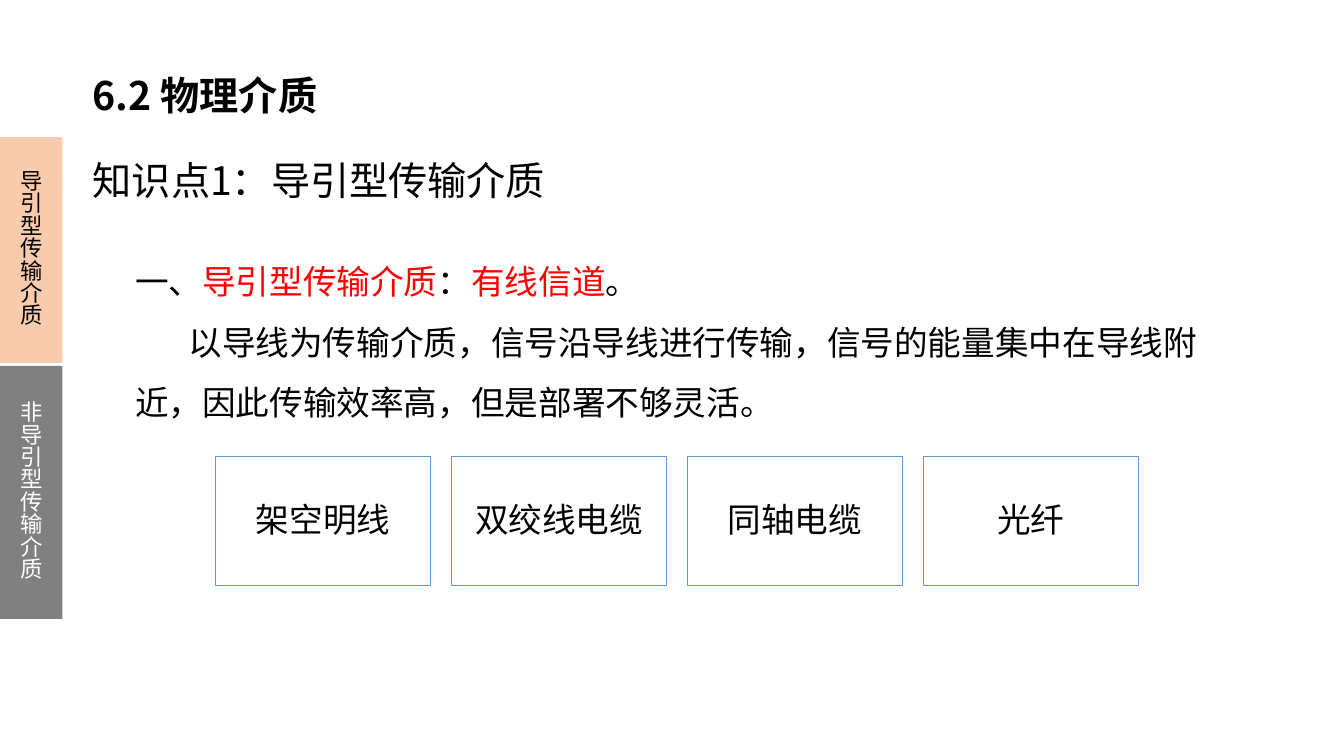
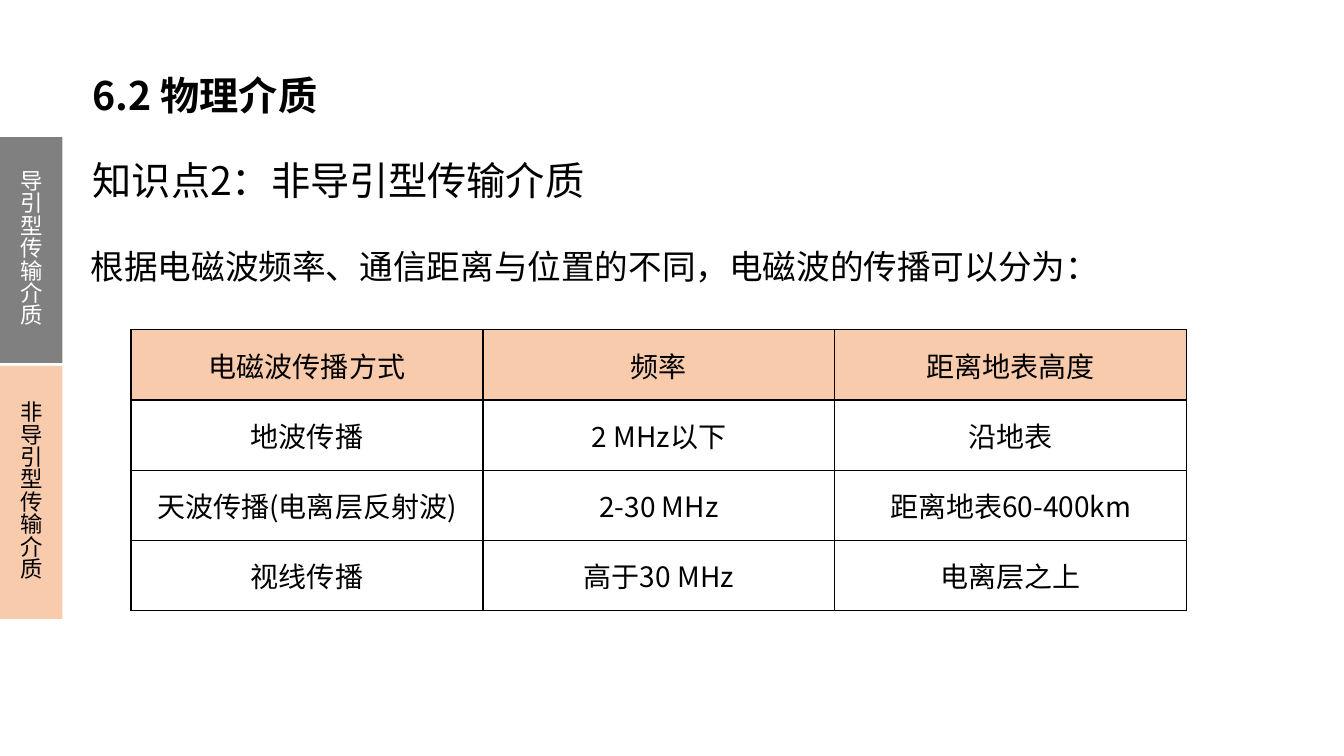
from lxml import etree
from pptx import Presentation
from pptx.dml.color import RGBColor
from pptx.enum.shapes import MSO_SHAPE
from pptx.enum.text import MSO_ANCHOR, MSO_AUTO_SIZE, PP_ALIGN
from pptx.oxml.ns import qn
from pptx.util import Inches, Pt

FONT = "Noto Sans CJK SC"
BLACK = RGBColor(0x00, 0x00, 0x00)
WHITE = RGBColor(0xFF, 0xFF, 0xFF)
RED = RGBColor(0xFF, 0x00, 0x00)
PEACH = RGBColor(0xF8, 0xCB, 0xAD)
GRAY = RGBColor(0x80, 0x80, 0x80)
BLUE = RGBColor(0x5B, 0x9B, 0xD5)

SECTION = "6.2 物理介质"
TABS = [("导引型传输介质", 1.36, 2.24), ("非导引型传输介质", 3.63, 2.51)]
MEDIA = ["架空明线", "双绞线电缆", "同轴电缆", "光纤"]
WAVES = [
    ["电磁波传播方式", "频率", "距离地表高度"],
    ["地波传播", "2 MHz以下", "沿地表"],
    ["天波传播(电离层反射波)", "2-30 MHz", "距离地表60-400km"],
    ["视线传播", "高于30 MHz", "电离层之上"],
]


# Text helpers
def set_format(target, values):
    for name, value in values.items():
        setattr(target, name, value)


def add_span(para, text, size, color=BLACK, bold=False):
    span = para.add_run()
    span.text = text
    span.font.color.rgb = color
    set_format(span.font, {"size": Pt(size), "bold": bold, "name": FONT})
    east_asian = etree.SubElement(span.font._element, qn("a:ea"))
    east_asian.set("typeface", FONT)


def set_frame(shape, anchor=MSO_ANCHOR.TOP, inset_x=0.1, inset_y=0.05):
    frame = shape.text_frame
    set_format(frame, {
        "word_wrap": True, "auto_size": MSO_AUTO_SIZE.NONE,
        "vertical_anchor": anchor,
        "margin_left": Inches(inset_x), "margin_right": Inches(inset_x),
        "margin_top": Inches(inset_y), "margin_bottom": Inches(inset_y),
    })
    return frame


def place(shape, left, top, width, height):
    set_format(shape, {"left": Inches(left), "top": Inches(top),
                       "width": Inches(width), "height": Inches(height)})


# Elements shared by the slides
def add_rect(page, area, fill, label, size, color, spacing, line=None, inset_y=0.05):
    box = page.shapes.add_shape(MSO_SHAPE.RECTANGLE, *map(Inches, area))
    box.shadow.inherit = False
    box.fill.solid()
    box.fill.fore_color.rgb = fill
    if line is None:
        box.line.fill.background()
    else:
        box.line.color.rgb = line
        box.line.width = Pt(1)
    para = set_frame(box, MSO_ANCHOR.MIDDLE, inset_y=inset_y).paragraphs[0]
    set_format(para, {"alignment": PP_ALIGN.CENTER, "line_spacing": spacing})
    add_span(para, label, size, color)


def add_page(deck, heading, active_tab):
    page = deck.slides.add_slide(deck.slide_layouts[1])

    title = page.shapes.title
    place(title, 0.8, 0.65, 9.65, 0.59)
    para = set_frame(title, inset_x=0.12, inset_y=0.06).paragraphs[0]
    para.alignment = PP_ALIGN.LEFT
    add_span(para, SECTION, 28, bold=True)

    box = page.shapes.add_textbox(*map(Inches, (0.8, 1.15, 12.16, 1.04)))
    para = set_frame(box, MSO_ANCHOR.MIDDLE, 0.12, 0.06).paragraphs[0]
    para.line_spacing = 1.5
    add_span(para, heading, 28)

    for index, (label, top, height) in enumerate(TABS):
        fill, color = (PEACH, BLACK) if index == active_tab else (GRAY, WHITE)
        add_rect(page, (0, top, 0.62, height), fill, label, 16, color, Pt(16))
    return page


def fill_body(page, area, paragraphs):
    """Each paragraph is a first-line indent and a list of (text, color)."""
    body = page.placeholders[1]
    place(body, *area)
    frame = set_frame(body)
    for index, (indent, spans) in enumerate(paragraphs):
        para = frame.add_paragraph() if index else frame.paragraphs[0]
        set_format(para, {"line_spacing": 1.5, "space_before": Pt(0)})
        properties = para._p.get_or_add_pPr()
        properties.set("marL", "0")
        properties.set("indent", str(Inches(indent)))
        etree.SubElement(properties, qn("a:buNone"))
        for text, color in spans:
            add_span(para, text, 24, color)


# Table
def add_borders(cell):
    properties = cell._tc.get_or_add_tcPr()
    for index, side in enumerate(("lnL", "lnR", "lnT", "lnB")):
        border = etree.Element(qn(f"a:{side}"), w=str(Pt(1)))
        fill = etree.SubElement(border, qn("a:solidFill"))
        etree.SubElement(fill, qn("a:srgbClr"), val=str(BLACK))
        properties.insert(index, border)


def add_grid(page, rows, area):
    table = page.shapes.add_table(len(rows), len(rows[0]), *map(Inches, area)).table
    set_format(table, {"first_row": False, "horz_banding": False})
    for row_index, row in enumerate(rows):
        for column_index, text in enumerate(row):
            cell = table.cell(row_index, column_index)
            cell.vertical_anchor = MSO_ANCHOR.MIDDLE
            if row_index == 0:
                cell.fill.solid()
                cell.fill.fore_color.rgb = PEACH
            else:
                cell.fill.background()
            add_borders(cell)
            para = cell.text_frame.paragraphs[0]
            para.alignment = PP_ALIGN.CENTER
            add_span(para, text, 20)


# Slides
def build_guided(deck):
    page = add_page(deck, "知识点1：导引型传输介质", 0)
    fill_body(page, (1.24, 2.34, 10.94, 1.92), [
        (0, [("一、", BLACK), ("导引型传输介质", RED), ("：", BLACK),
             ("有线信道", RED), ("。", BLACK)]),
        (0.53, [("以导线为传输介质，信号沿导线进行传输，信号的能量集中在导线附近，"
                 "因此传输效率高，但是部署不够灵活。", BLACK)]),
    ])
    for index, label in enumerate(MEDIA):
        area = (2.14 + index * 2.34, 4.53, 2.13, 1.28)
        add_rect(page, area, WHITE, label, 24, BLACK, 0.9, BLUE, 0.1)


def build_unguided(deck):
    page = add_page(deck, "知识点2：非导引型传输介质", 1)
    fill_body(page, (0.8, 2.19, 10.66, 0.64), [
        (0, [("根据电磁波频率、通信距离与位置的不同，电磁波的传播可以分为：", BLACK)]),
    ])
    add_grid(page, WAVES, (1.3, 3.27, 10.47, 2.79))


def main():
    deck = Presentation()
    set_format(deck, {"slide_width": Inches(13.33), "slide_height": Inches(7.5)})
    build_guided(deck)
    build_unguided(deck)
    deck.save("out.pptx")


if __name__ == "__main__":
    main()
